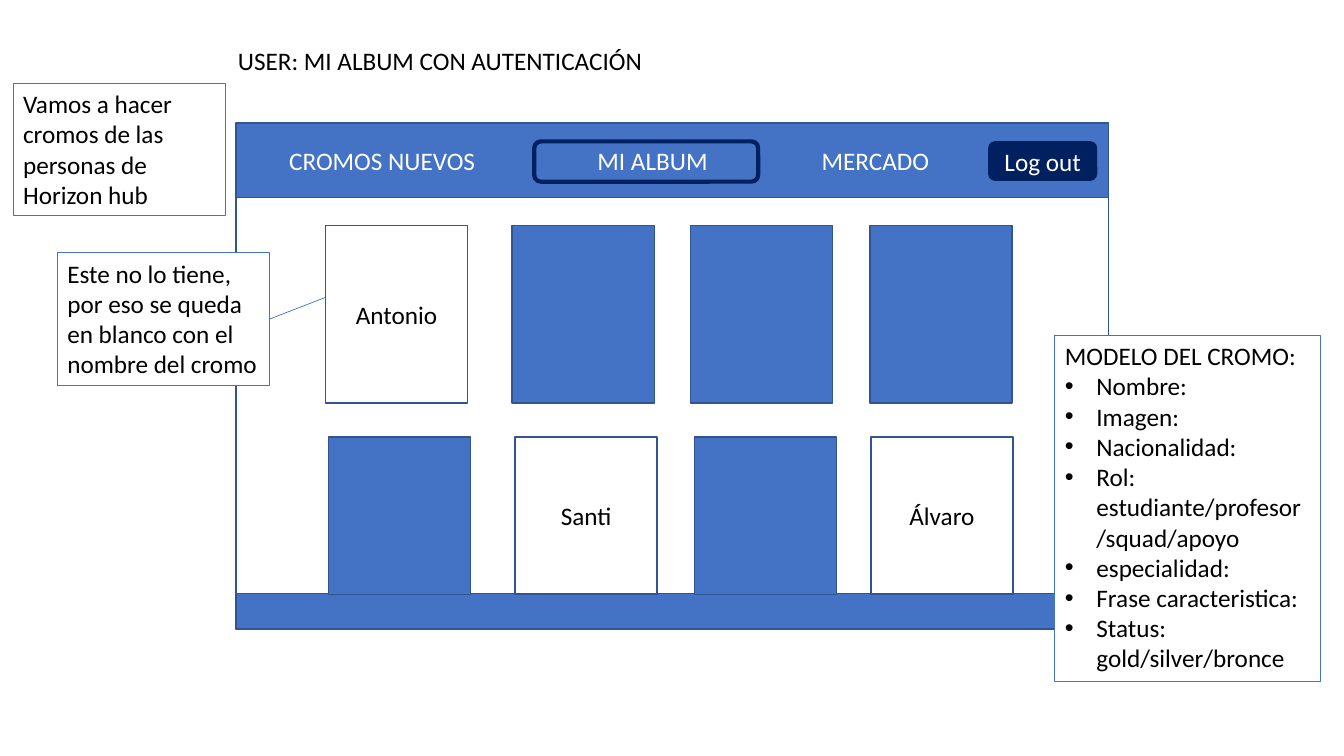
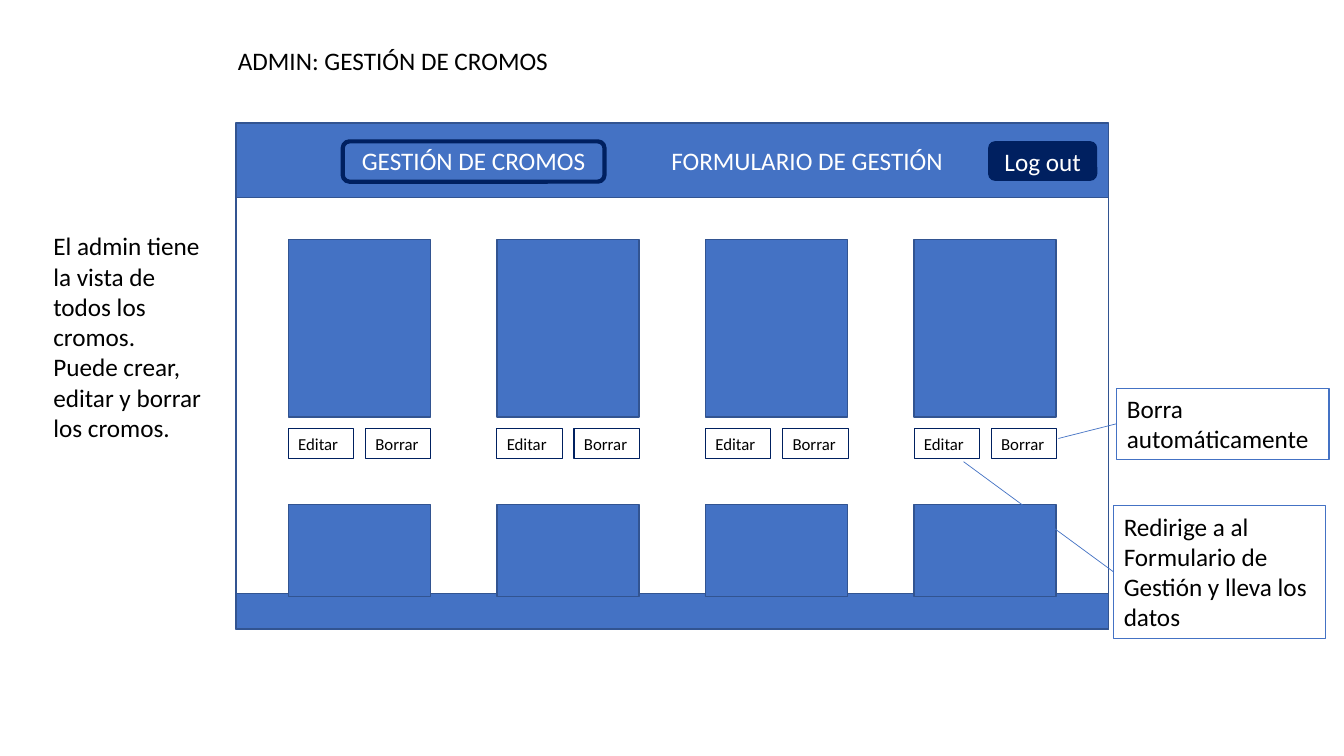
from collections import namedtuple
from dataclasses import dataclass

import pptx
import pptx.dml.color
import pptx.enum.shapes
import pptx.enum.text
import pptx.oxml
import pptx.oxml.ns
import pptx.util

Pt = pptx.util.Pt
Shapes = pptx.enum.shapes.MSO_SHAPE
Align = pptx.enum.text.PP_ALIGN
Anchor = pptx.enum.text.MSO_ANCHOR
AutoSize = pptx.enum.text.MSO_AUTO_SIZE
Box = namedtuple("Box", "left top width height")


@dataclass(frozen=True)
class Theme:
    """Colours, font, type sizes and line widths of the deck."""
    blue: str = "4472C4"
    edge: str = "325491"
    navy: str = "002060"
    white: str = "FFFFFF"
    black: str = "000000"
    font: str = "Calibri"
    body: int = 18
    small: int = 12
    hair: float = 0.5
    thin: float = 0.75
    normal: float = 1
    heavy: float = 3


THEME = Theme()
TITLE = Box(162.7, 28.8, 437.8, 29)
SCREEN = Box(168.5, 87.8, 623.5, 361.5)
HEADER_HEIGHT, FOOTER_HEIGHT = 53.3, 25.2
CARD_WIDTH, CARD_HEIGHT = 101.5, 126.7
NOTE_WIDTH = 151.5


def inside(outer, left, top, width, height):
    """Return a box whose corner is measured from the corner of another."""
    return Box(outer.left + left, outer.top + top, width, height)


def lengths(box):
    """Turn a box into four lengths in points."""
    return [Pt(value) for value in box]


def color(value):
    """Turn a hex string into a colour."""
    return pptx.dml.color.RGBColor.from_string(value)


def write(frame, lines, size=THEME.body, ink=THEME.black, align=Align.LEFT,
          anchor=Anchor.TOP, grow=True):
    """Write one paragraph per line into a text frame."""
    frame.word_wrap = True
    frame.auto_size = AutoSize.SHAPE_TO_FIT_TEXT if grow else AutoSize.NONE
    frame.vertical_anchor = anchor
    for index, line in enumerate(lines):
        para = frame.paragraphs[0] if index == 0 else frame.add_paragraph()
        para.alignment = align
        span = para.add_run()
        span.text = line
        span.font.name = THEME.font
        span.font.size = Pt(size)
        span.font.color.rgb = color(ink)


def add_bullet(para, indent=22.5):
    """Give a paragraph a round bullet with a hanging indent."""
    properties = para._p.get_or_add_pPr()
    properties.set("marL", str(Pt(indent)))
    properties.set("indent", str(-Pt(indent)))
    for tag, name, value in (("a:buFont", "typeface", "Arial"), ("a:buChar", "char", "•")):
        mark = pptx.oxml.parse_xml(f"<{tag} {pptx.oxml.ns.nsdecls('a')}/>")
        mark.set(name, value)
        properties.append(mark)


def add_panel(page, box, fill=None, edge=THEME.edge, weight=THEME.normal,
              kind=Shapes.RECTANGLE):
    """Draw a flat shape, hollow when it has no fill."""
    panel = page.shapes.add_shape(kind, *lengths(box))
    panel.shadow.inherit = False
    if fill:
        panel.fill.solid()
        panel.fill.fore_color.rgb = color(fill)
    else:
        panel.fill.background()
    panel.line.color.rgb = color(edge)
    panel.line.width = Pt(weight)
    return panel


def add_nav_item(page, box, label, fill=None, edge=THEME.blue):
    """Draw a rounded menu entry with centred white text."""
    item = add_panel(page, box, fill, edge, kind=Shapes.ROUNDED_RECTANGLE)
    write(item.text_frame, [label], ink=THEME.white, align=Align.CENTER,
          anchor=Anchor.MIDDLE, grow=False)


def add_card(page, box, name=None):
    """Draw an owned card in blue, or a missing one hollow with its name."""
    card = add_panel(page, box, None if name else THEME.blue)
    if name:
        write(card.text_frame, [name], align=Align.CENTER, anchor=Anchor.MIDDLE, grow=False)


def add_note(page, box, lines):
    """Draw a white framed note; lines after the first are bullets."""
    note = add_panel(page, box, THEME.white, THEME.blue, THEME.thin)
    write(note.text_frame, lines)
    for para in note.text_frame.paragraphs[1:]:
        add_bullet(para)


def add_pointer(page, start, end):
    """Draw a hairline from a note to what it explains."""
    line = page.shapes.add_connector(pptx.enum.shapes.MSO_CONNECTOR.STRAIGHT,
                                     *[Pt(value) for value in start + end])
    line.line.color.rgb = color(THEME.blue)
    line.line.width = Pt(THEME.hair)
    line._element.spPr.append(
        pptx.oxml.parse_xml(f"<a:effectLst {pptx.oxml.ns.nsdecls('a')}/>"))


def add_actions(page, box):
    """Draw the edit and delete buttons below a card."""
    for index, label in enumerate(("Editar", "Borrar")):
        button = add_panel(page, inside(box, index * 55.1, 0, 46.8, box.height),
                           edge=THEME.navy, weight=THEME.thin)
        write(button.text_frame, [label], size=THEME.small)


def add_screen(deck, title, entries, marker):
    """Add a page with title, browser frame, menu and marked entry."""
    page = deck.slides.add_slide(deck.slide_layouts[5])
    heading = page.shapes.title
    heading.left, heading.top, heading.width, heading.height = lengths(TITLE)
    write(heading.text_frame, [title])
    add_panel(page, inside(SCREEN, 0, 2.2, SCREEN.width, SCREEN.height - 2.2))
    add_panel(page, SCREEN._replace(height=HEADER_HEIGHT), THEME.blue)
    add_panel(page, inside(SCREEN, 0, SCREEN.height - FOOTER_HEIGHT,
                           SCREEN.width, FOOTER_HEIGHT), THEME.blue)
    for label, left, width in entries:
        add_nav_item(page, inside(SCREEN, left, 13, width, 27.4), label)
    add_nav_item(page, inside(SCREEN, 537.8, 13.5, 77, 27.4), "Log out",
                 THEME.navy, THEME.navy)
    left, width = marker
    add_panel(page, inside(SCREEN, left, 13.2, width, 28.8), edge=THEME.navy,
              weight=THEME.heavy, kind=Shapes.ROUNDED_RECTANGLE)
    return page


def build_album(deck):
    """Build the page with the album of a signed-in user."""
    page = add_screen(deck, "USER: MI ALBUM CON AUTENTICACIÓN",
                      [("CROMOS NUEVOS", 24.5, 160), ("MI ALBUM", 242.6, 110),
                       ("MERCADO", 401.8, 110)], (213.1, 160))
    rows = (
        (73.4, CARD_HEIGHT, (64, 197.3, 324.7, 452.9), ("Antonio", None, None, None)),
        (224.4, 112.3, (66.2, 199.4, 327.6, 453.6), (None, "Santi", None, "Álvaro")),
    )
    for top, height, lefts, names in rows:
        for left, name in zip(lefts, names):
            add_card(page, inside(SCREEN, left, top, CARD_WIDTH, height), name)
    missing = Box(41, 180.7, NOTE_WIDTH, 94.5)
    add_note(page, missing,
             ["Este no lo tiene, por eso se queda en blanco con el nombre del cromo"])
    add_pointer(page, (missing.left + missing.width, missing.top + missing.height / 2),
                (SCREEN.left + 64, 212.4))
    add_note(page, Box(753.6, 239.6, 189.4, 247),
             ["MODELO DEL CROMO: ", "Nombre:", "Imagen:", "Nacionalidad:",
              "Rol: estudiante/profesor/squad/apoyo", "especialidad:",
              "Frase caracteristica:", "Status: gold/silver/bronce"])
    add_note(page, Box(9.4, 59.6, NOTE_WIDTH, 94.5),
             ["Vamos a hacer cromos de las personas de Horizon hub"])


def build_admin(deck):
    """Build the page where the administrator manages the cards."""
    page = add_screen(deck, "ADMIN: GESTIÓN DE CROMOS",
                      [("GESTIÓN DE CROMOS", 76.3, 187),
                       ("FORMULARIO DE GESTIÓN", 296, 224)], (76.3, 187))
    summary = page.shapes.add_textbox(*lengths(Box(31, 161.3, 120.2, 181.4)))
    write(summary.text_frame, ["El admin tiene la vista de todos los cromos. "
                               "Puede crear, editar y borrar los cromos."])
    for column in range(4):
        left = 37.4 + column * 149
        add_card(page, inside(SCREEN, left, 83.5, CARD_WIDTH, CARD_HEIGHT))
        add_actions(page, inside(SCREEN, left, 218.2, CARD_WIDTH, 21.6))
        add_card(page, inside(SCREEN, left, 272.7, CARD_WIDTH, 65.5))
    delete = Box(797.8, 277.2, NOTE_WIDTH, 50.9)
    redirect = Box(795.6, 361.4, NOTE_WIDTH, 94.5)
    for box, text, target in (
            (delete, "Borra automáticamente", (756, 313.2)),
            (redirect, "Redirige a al Formulario de Gestión y lleva los datos",
             (688.3, 329.8))):
        add_note(page, box, [text])
        add_pointer(page, target, (box.left, box.top + box.height / 2))


def main():
    """Build and save the deck."""
    deck = pptx.Presentation()
    deck.slide_width, deck.slide_height = Pt(960), Pt(540)
    build_album(deck)
    build_admin(deck)
    deck.save("out.pptx")


main()
